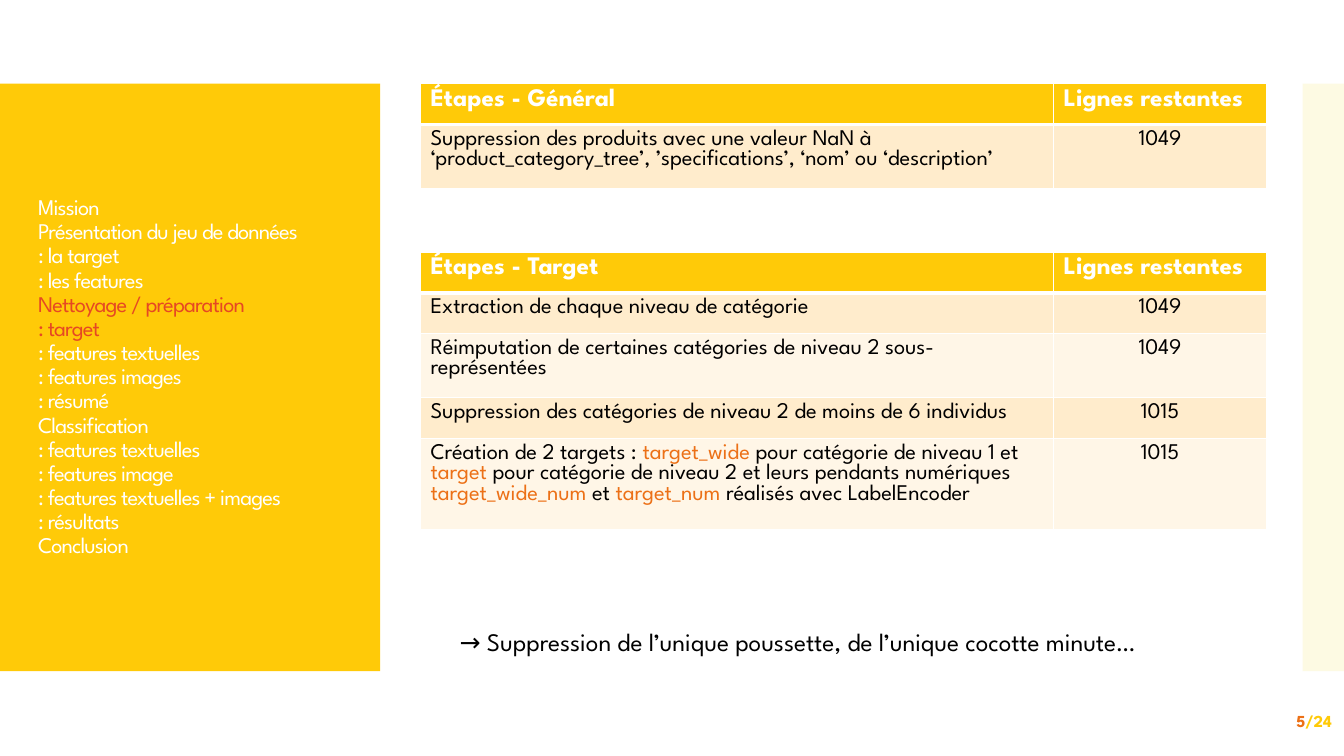
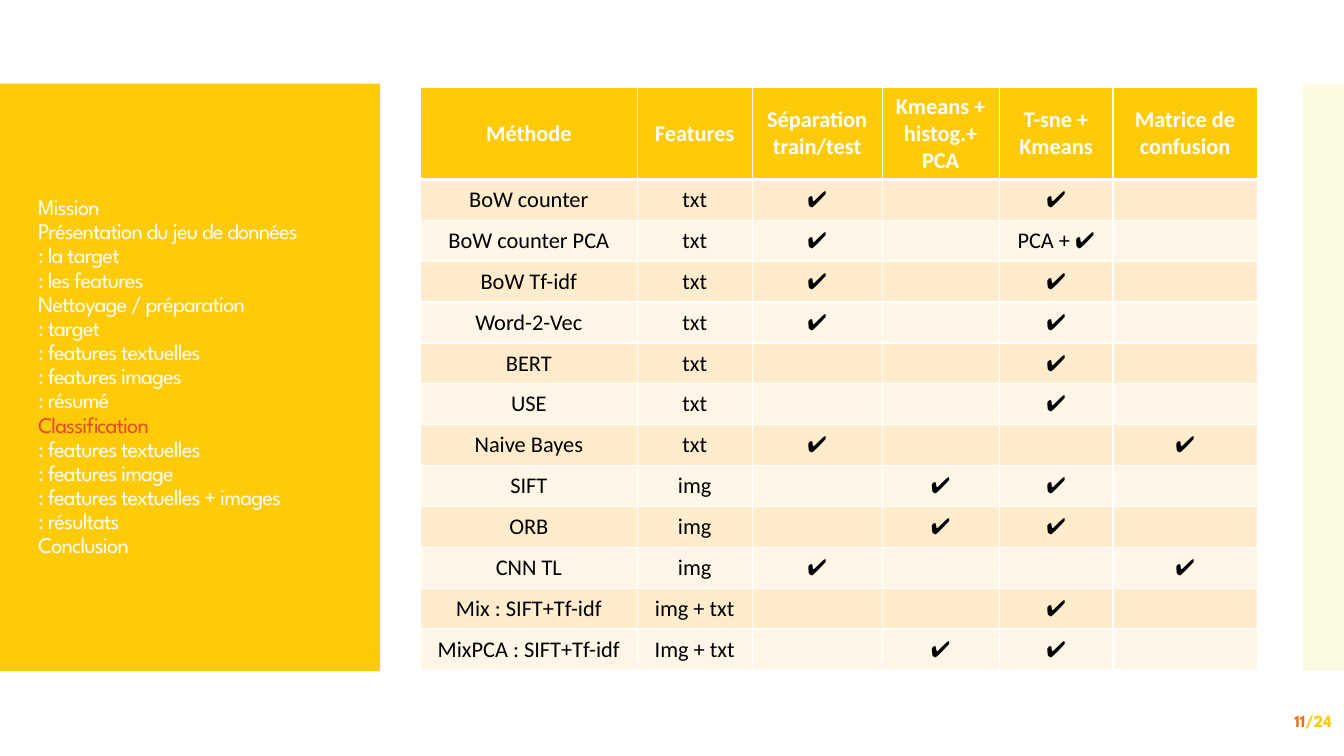
from lxml.etree import SubElement
from pptx import Presentation
from pptx.dml.color import RGBColor
from pptx.enum.shapes import MSO_SHAPE as Shape
from pptx.enum.text import MSO_ANCHOR as Anchor, PP_ALIGN as Align
from pptx.oxml.ns import qn
from pptx.util import Inches, Pt

WHITE = RGBColor(0xFF, 0xFF, 0xFF)
BLACK = RGBColor(0x00, 0x00, 0x00)
YELLOW = RGBColor(0xFF, 0xCA, 0x08)
CREAM = RGBColor(0xFD, 0xF7, 0xC9)
ORANGE = RGBColor(0xEC, 0x70, 0x16)
RED = RGBColor(0xE6, 0x48, 0x23)
BANDS = (RGBColor(0xFF, 0xEC, 0xCC), RGBColor(0xFF, 0xF6, 0xE7))

SPARTAN = "League Spartan"
CALIBRI = "Calibri"
PAGE_COUNT = 24
BAND_TOP, BAND_HEIGHT = 0.83, 5.83
CONTENT_LEFT = 4.17
ROW = 4.87 / 12
CHECK = "✔️"

AGENDA = (
    "Mission", "Présentation du jeu de données", ": la target", ": les features",
    "Nettoyage / préparation", ": target", ": features textuelles",
    ": features images", ": résumé", "Classification", ": features textuelles",
    ": features image", ": features textuelles + images", ": résultats", "Conclusion",
)

STEP_COLUMNS = (6.28, 2.11)
GENERAL_STEPS = (
    ("Étapes - Général", "Lignes restantes"),
    ("Suppression des produits avec une valeur NaN à ‘product_category_tree’, "
     "’specifications’, ‘nom’ ou ‘description’", "1049"),
)
TARGET_STEPS = (
    ("Étapes - Target", "Lignes restantes"),
    ("Extraction de chaque niveau de catégorie", "1049"),
    ("Réimputation de certaines catégories de niveau 2 sous-représentées", "1049"),
    ("Suppression des catégories de niveau 2 de moins de 6 individus", "1015"),
    (("Création de 2 targets : ", "target_wide ", "pour catégorie de niveau 1 et ",
      "target", " pour catégorie de niveau 2 et leurs pendants numériques ",
      "target_wide_num ", "et ", "target_num ", "réalisés avec LabelEncoder"), "1015"),
)

METHOD_COLUMNS = (2.15, 1.14, 1.29, 1.16, 1.13, 1.43)
METHODS = (
    ("Méthode", "Features", "Séparation train/test", "Kmeans + histog.+ PCA",
     "T-sne + Kmeans", "Matrice de confusion"),
    ("BoW counter", "txt", CHECK, "", CHECK, ""),
    ("BoW counter PCA", "txt", CHECK, "", "PCA + " + CHECK, ""),
    ("BoW Tf-idf", "txt", CHECK, "", CHECK, ""),
    ("Word-2-Vec", "txt", CHECK, "", CHECK, ""),
    ("BERT", "txt", "", "", CHECK, ""),
    ("USE", "txt", "", "", CHECK, ""),
    ("Naive Bayes", "txt", CHECK, "", "", CHECK),
    ("SIFT", "img", "", CHECK, CHECK, ""),
    ("ORB", "img", "", CHECK, CHECK, ""),
    ("CNN TL", "img", CHECK, "", "", CHECK),
    ("Mix : SIFT+Tf-idf", "img + txt", "", "", CHECK, ""),
    ("MixPCA : SIFT+Tf-idf", "Img + txt", "", CHECK, CHECK, ""),
)


def write(paragraph, text, size, color, accent=ORANGE, font=SPARTAN, bold=False,
          align=Align.LEFT):
    """Fill a paragraph; in a tuple of texts every second one takes the accent."""
    paragraph.alignment = align
    paragraph.font.size = Pt(size)
    paragraph.font.name = font
    paragraph.font.bold = bold
    paragraph.font.color.rgb = color
    if isinstance(text, str):
        text = (text,) if text else ()
    for index, part in enumerate(text):
        run = paragraph.add_run()
        run.text = part
        if index % 2:
            run.font.color.rgb = accent


def add_text_frame(slide, left, top, width, height, anchor=Anchor.TOP):
    """Add a wrapping text box and return its text frame."""
    box = slide.shapes.add_textbox(Inches(left), Inches(top), Inches(width), Inches(height))
    frame = box.text_frame
    frame.word_wrap = True
    frame.vertical_anchor = anchor
    return frame


def add_band(slide, left, width, color, opacity=100):
    """Add a plain vertical band of the shared height."""
    band = slide.shapes.add_shape(Shape.RECTANGLE, Inches(left), Inches(BAND_TOP),
                                  Inches(width), Inches(BAND_HEIGHT))
    band.shadow.inherit = False
    band.line.fill.background()
    band.fill.solid()
    band.fill.fore_color.rgb = color
    if opacity < 100:
        tint = next(band.fill._xPr.iter(qn("a:srgbClr")))
        SubElement(tint, qn("a:alpha"), val=str(opacity * 1000))


def add_agenda(slide, current):
    """List the agenda on the yellow band, with the current entries in red."""
    frame = add_text_frame(slide, 0.28, 1.23, 3.22, 5.03, Anchor.MIDDLE)
    for index, entry in enumerate(AGENDA):
        line = frame.add_paragraph() if index else frame.paragraphs[0]
        line.line_spacing = 0.9
        write(line, entry, 16, RED if index in current else WHITE)
        line._p.pPr.find(qn("a:defRPr")).set("spc", "-60")


def add_page(deck, number, current):
    """Add a slide with its bands, agenda and page number."""
    slide = deck.slides.add_slide(deck.slide_layouts[6])
    add_band(slide, 0, 3.77, YELLOW)
    add_band(slide, 12.92, 0.42, CREAM, 50)
    footer = add_text_frame(slide, 11.64, 6.95, 1.67, 0.4, Anchor.MIDDLE)
    write(footer.paragraphs[0], (str(number), f"/{PAGE_COUNT}"), 12, ORANGE,
          accent=YELLOW, bold=True, align=Align.RIGHT)
    add_agenda(slide, current)
    return slide


def style_cell(cell, fill, bottom):
    """Give a cell its white borders and its fill."""
    properties = cell._tc.get_or_add_tcPr()
    for side, points in (("L", 1), ("R", 1), ("T", 1), ("B", bottom)):
        border = SubElement(properties, qn(f"a:ln{side}"), w=str(Pt(points)))
        paint = SubElement(border, qn("a:solidFill"))
        SubElement(paint, qn("a:srgbClr"), val=str(WHITE))
    cell.fill.solid()
    cell.fill.fore_color.rgb = fill


def add_grid(slide, top, columns, heights, rows, write_cell):
    """Add a banded table whose cell texts are set by write_cell."""
    table = slide.shapes.add_table(len(rows), len(columns), Inches(CONTENT_LEFT), Inches(top),
                                   Inches(sum(columns)), Inches(sum(heights))).table
    for column, width in zip(table.columns, columns):
        column.width = Inches(width)
    for r, (texts, height) in enumerate(zip(rows, heights)):
        table.rows[r].height = Inches(height)
        for c, text in enumerate(texts):
            cell = table.cell(r, c)
            style_cell(cell, BANDS[(r - 1) % 2] if r else YELLOW, 1 if r else 3)
            write_cell(cell, text, r == 0, c)


def write_step(cell, text, is_header, column):
    """Write a cell of a cleaning step table."""
    centred = column == 1 and not is_header
    write(cell.text_frame.paragraphs[0], text, 18 if is_header else 16,
          WHITE if is_header else BLACK, bold=is_header,
          align=Align.CENTER if centred else Align.LEFT)


def write_method(cell, text, is_header, column):
    """Write a centred cell of the method table."""
    cell.vertical_anchor = Anchor.MIDDLE
    write(cell.text_frame.paragraphs[0], text, 16, WHITE if is_header else BLACK,
          font=CALIBRI, bold=is_header, align=Align.CENTER)


def add_cleaning_page(deck):
    """Add the slide on cleaning the target."""
    slide = add_page(deck, 5, (4, 5))
    add_grid(slide, BAND_TOP, STEP_COLUMNS, (ROW, 0.63), GENERAL_STEPS, write_step)
    add_grid(slide, 2.5, STEP_COLUMNS, (ROW, ROW, 0.51, ROW, 0.71), TARGET_STEPS, write_step)
    remark = add_text_frame(slide, 4.46, 6.16, 7.8, 0.4)
    write(remark.paragraphs[0],
          "→ Suppression de l’unique poussette, de l’unique cocotte minute…", 18, BLACK)


def add_classification_page(deck):
    """Add the slide comparing the classification methods."""
    slide = add_page(deck, 11, (9,))
    heights = [0.91] + [ROW] * (len(METHODS) - 1)
    add_grid(slide, 0.87, METHOD_COLUMNS, heights, METHODS, write_method)


def main():
    """Build and save the deck."""
    deck = Presentation()
    deck.slide_width, deck.slide_height = Inches(13.33), Inches(7.5)
    add_cleaning_page(deck)
    add_classification_page(deck)
    deck.save("out.pptx")


if __name__ == "__main__":
    main()
